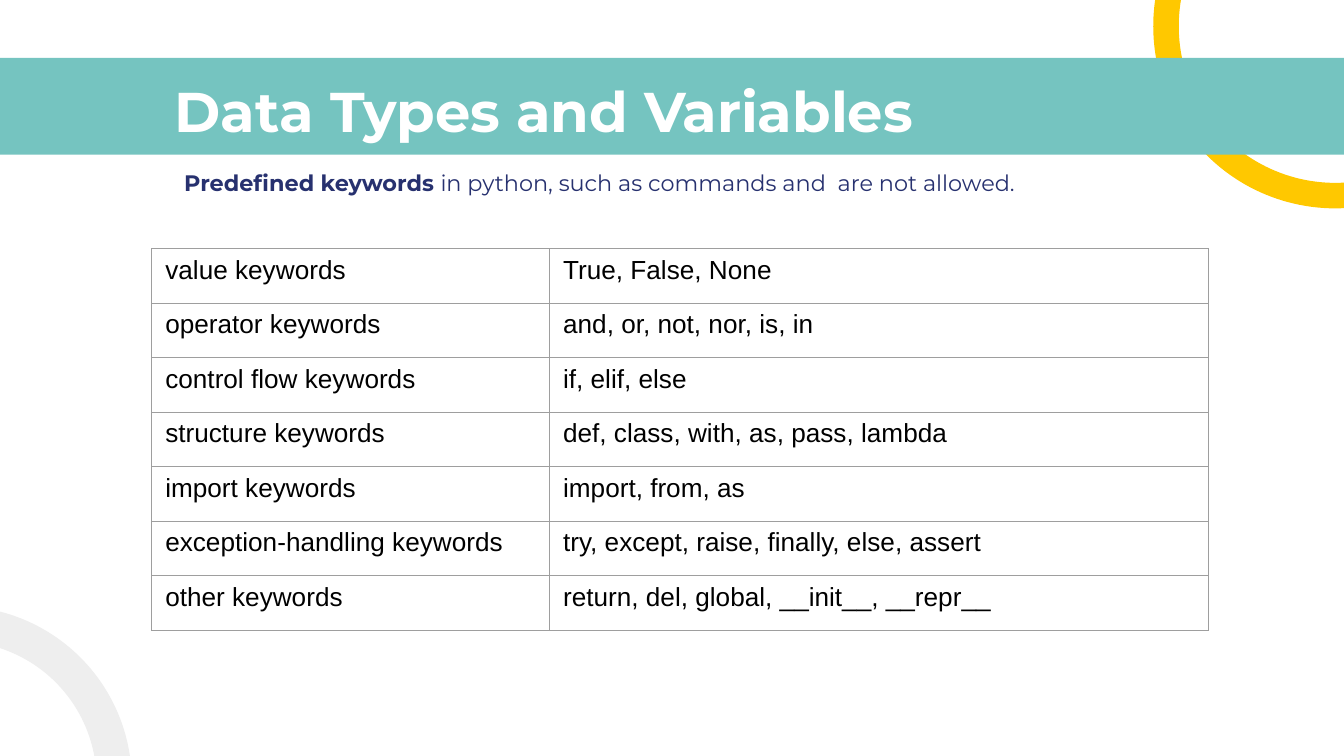
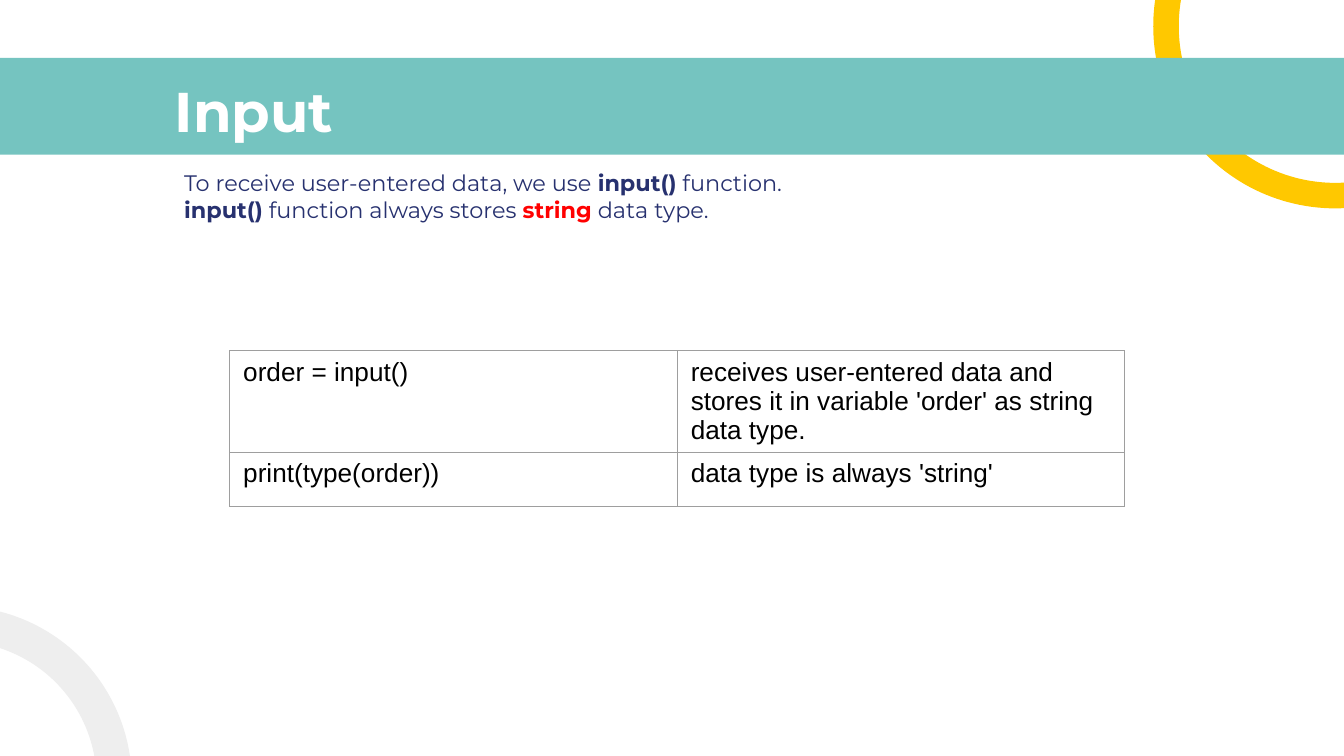
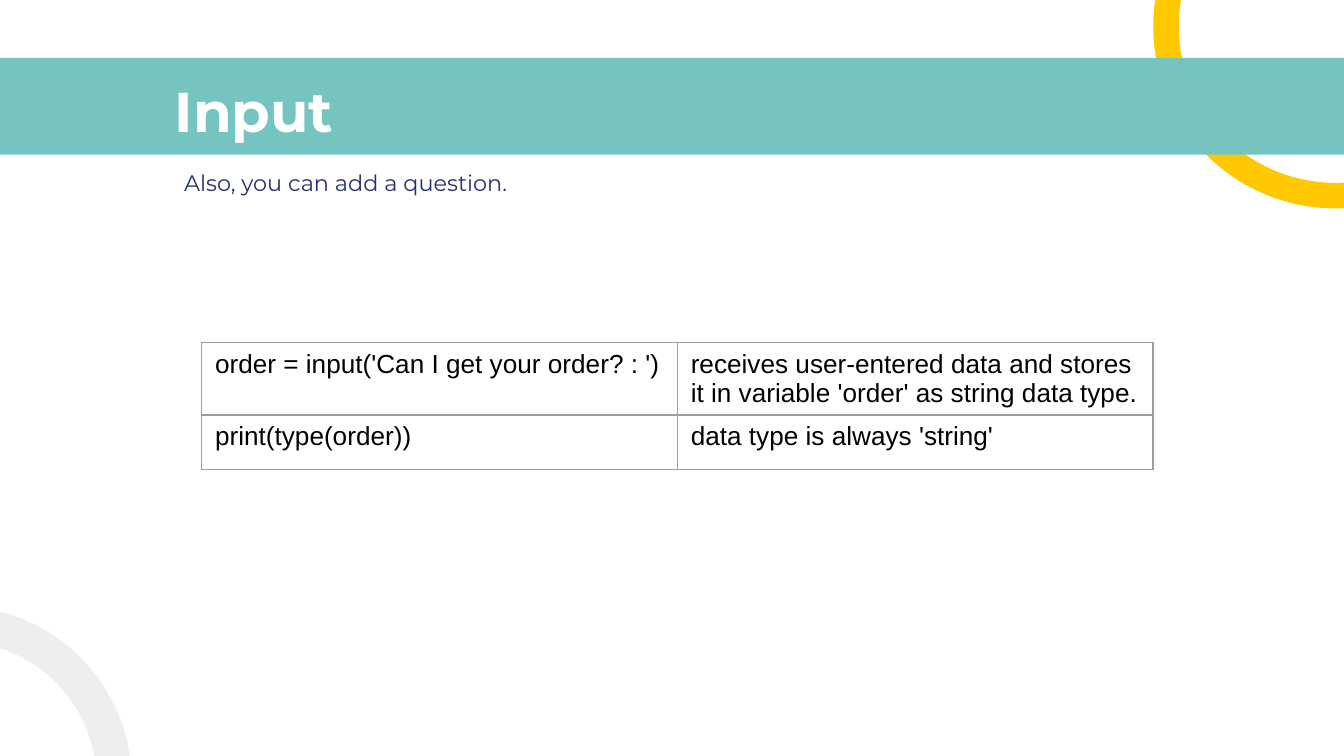
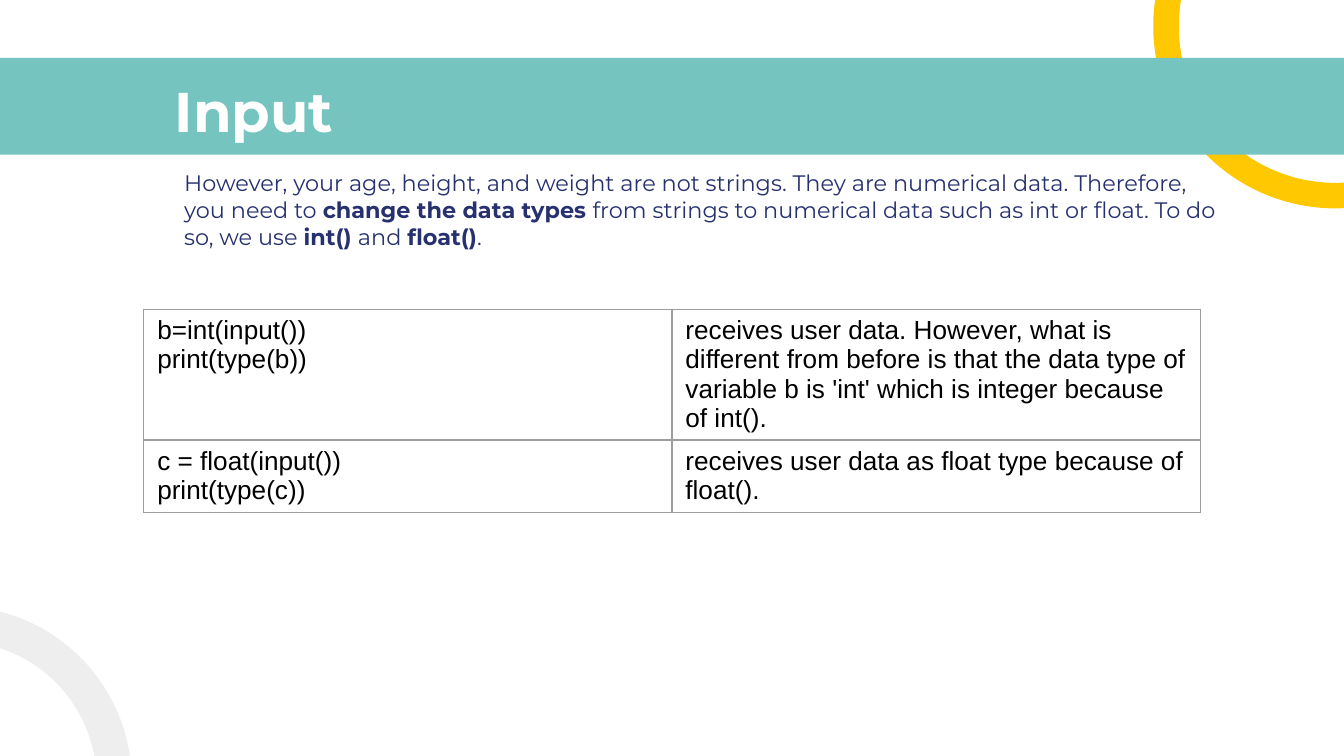
from lxml.etree import SubElement
from pptx import Presentation
from pptx.dml.color import RGBColor
from pptx.enum.shapes import MSO_SHAPE as SHAPE
from pptx.enum.text import MSO_ANCHOR as ANCHOR, MSO_AUTO_SIZE as AUTO_SIZE, PP_ALIGN as ALIGN
from pptx.oxml.ns import qn
from pptx.util import Inches, Pt

WHITE = RGBColor(0xFF, 0xFF, 0xFF)
BLACK = RGBColor(0, 0, 0)
TEAL = RGBColor(0x75, 0xC4, 0xC0)
YELLOW = RGBColor(0xFF, 0xC8, 0x00)
PALE_GREY = RGBColor(0xEE, 0xEE, 0xEE)
NAVY = RGBColor(0x27, 0x31, 0x6F)
RED = RGBColor(0xFF, 0, 0)
BORDER_GREY = RGBColor(0x9E, 0x9E, 0x9E)
HEADING_FONT, TABLE_FONT = "Montserrat", "Arial"
ROW_HEIGHT = Inches(2.84) // 7

# Each intro paragraph is a list of runs: text, bold, colour.
# Each table has its left, top and height, column widths and rows.
LESSONS = [
    {
        "title": "Data Types and Variables",
        "intro_height": 1.2,
        "intro": [[
            ("Predefined keywords ", True, NAVY),
            ("in python, such as commands and  are not allowed.", False, NAVY),
        ]],
        "place": (1.13, 1.85, 2.84),
        "columns": (2.96, 4.9),
        "rows": [
            ("value keywords", "True, False, None"),
            ("operator keywords", "and, or, not, nor, is, in"),
            ("control flow keywords", "if, elif, else"),
            ("structure keywords", "def, class, with, as, pass, lambda"),
            ("import keywords", "import, from, as"),
            ("exception-handling keywords", "try, except, raise, finally, else, assert"),
            ("other keywords", "return, del, global, __init__, __repr__"),
        ],
    },
    {
        "title": "Input",
        "intro_height": 1.66,
        "intro": [
            [
                ("To receive user-entered data, we use ", False, NAVY),
                ("input()", True, NAVY),
                (" function.", False, NAVY),
            ],
            [
                ("input()", True, NAVY),
                (" function always stores ", False, NAVY),
                ("string", True, RED),
                (" data type.", False, NAVY),
            ],
        ],
        "place": (1.71, 2.61, 1.21),
        "columns": (3.33, 3.33),
        "rows": [
            ("order = input()",
             "receives user-entered data and stores it in variable 'order' as string data type."),
            ("print(type(order))", "data type is always 'string'"),
        ],
    },
    {
        "title": "Input",
        "intro_height": 1.66,
        "intro": [[("Also, you can add a question.", False, NAVY)]],
        "place": (1.5, 2.55, 0.97),
        "columns": (3.54, 3.54),
        "rows": [
            ("order = input('Can I get your order? : ')",
             "receives user-entered data and stores it in variable 'order' as string data type."),
            ("print(type(order))", "data type is always 'string'"),
        ],
    },
    {
        "title": "Input",
        "intro_height": 1.66,
        "intro": [[
            ("However, your age, height, and weight are not strings. They are numerical data. "
             "Therefore, you need to ", False, NAVY),
            ("change the data types ", True, NAVY),
            ("from strings to numerical data such as int or float. To do so, we use ", False, NAVY),
            ("int() ", True, NAVY),
            ("and ", False, NAVY),
            ("float()", True, NAVY),
            (".", False, NAVY),
        ]],
        "place": (1.07, 2.3, 1.6),
        "columns": (3.93, 3.93),
        "rows": [
            ("b=int(input())\nprint(type(b))",
             "receives user data. However, what is different from before is that the data type "
             "of variable b is 'int' which is integer because of int()."),
            ("c = float(input())\nprint(type(c))",
             "receives user data as float type because of float()."),
        ],
    },
]


def fill_text(holder, box, paragraphs, size, indent=0):
    """Place a placeholder and write its paragraphs run by run."""
    holder.left, holder.top, holder.width, holder.height = map(Inches, box)
    frame = holder.text_frame
    frame.word_wrap = True
    frame.auto_size = AUTO_SIZE.NONE
    frame.vertical_anchor = ANCHOR.TOP
    frame.margin_left = frame.margin_right = Inches(0.1)
    frame.margin_top = frame.margin_bottom = Inches(0.1)
    for number, runs in enumerate(paragraphs):
        paragraph = frame.add_paragraph() if number else frame.paragraphs[0]
        paragraph.alignment = ALIGN.LEFT
        paragraph.space_before = Pt(0)
        properties = paragraph._p.get_or_add_pPr()
        properties.set("marL", str(Inches(indent)))
        properties.set("indent", "0")
        for text, bold, color in runs:
            run = paragraph.add_run()
            run.text = text
            run.font.name = HEADING_FONT
            run.font.size = Pt(size)
            run.font.bold = bold
            run.font.color.rgb = color


def add_borders(cell):
    properties = cell._tc.get_or_add_tcPr()
    for side in ("lnL", "lnR", "lnT", "lnB"):
        line = SubElement(properties, qn(f"a:{side}"), w=str(Pt(0.75)))
        fill = SubElement(line, qn("a:solidFill"))
        SubElement(fill, qn("a:srgbClr"), val=str(BORDER_GREY))


prs = Presentation()
prs.slide_width = Inches(10)
prs.slide_height = prs.slide_width * 9 // 16
layout = prs.slide_layouts[0]
for holder in list(layout.placeholders):
    if holder.placeholder_format.idx >= 10:
        layout.shapes.element.remove(holder.element)
slides = [prs.slides.add_slide(layout) for _ in LESSONS]

# The band and arcs are drawn once, then moved to the back of the shared layout.
decorations = []
for kind, box, color, rotation, arc in (
    (SHAPE.BLOCK_ARC, (8.58, -1.16, 2.71, 2.71), YELLOW, 180, (159.04, 7.23, 0.07)),
    (SHAPE.RECTANGLE, (-0.17, 0.43, 10.34, 0.72), TEAL, 0, ()),
    (SHAPE.BLOCK_ARC, (-1.63, 4.51, 2.61, 2.61), PALE_GREY, 74.3, (125.82, 166.85, 0.1)),
):
    decoration = slides[0].shapes.add_shape(kind, *map(Inches, box))
    decoration.shadow.inherit = False
    decoration.fill.solid()
    decoration.fill.fore_color.rgb = color
    decoration.line.fill.background()
    decoration.rotation = rotation
    for index, value in enumerate(arc):
        decoration.adjustments[index] = value
    decorations.append(decoration)
for position, decoration in enumerate(decorations, start=2):
    layout.shapes.element.insert(position, decoration.element)

for slide, lesson in zip(slides, LESSONS):
    fill_text(slide.shapes.title, (1.2, 0.47, 8.46, 0.63),
              [[(lesson["title"], True, WHITE)]], 30)
    fill_text(slide.placeholders[1], (0.77, 1.16, 8.46, lesson["intro_height"]),
              lesson["intro"], 12, indent=0.5)

    rows, columns = lesson["rows"], lesson["columns"]
    left, top, height = map(Inches, lesson["place"])
    table_frame = slide.shapes.add_table(
        len(rows), len(columns), left, top, Inches(sum(columns)), height)
    table = table_frame.table
    table.first_row = table.horz_banding = False
    for column, width in zip(table.columns, columns):
        column.width = Inches(width)
    for row, texts in zip(table.rows, rows):
        row.height = ROW_HEIGHT
        for cell, text in zip(row.cells, texts):
            add_borders(cell)
            cell.fill.background()
            cell.text = text
            for paragraph in cell.text_frame.paragraphs:
                for run in paragraph.runs:
                    run.font.name = TABLE_FONT
                    run.font.size = Pt(14)
                    run.font.color.rgb = BLACK
    table_frame.height = height

prs.save("out.pptx")
